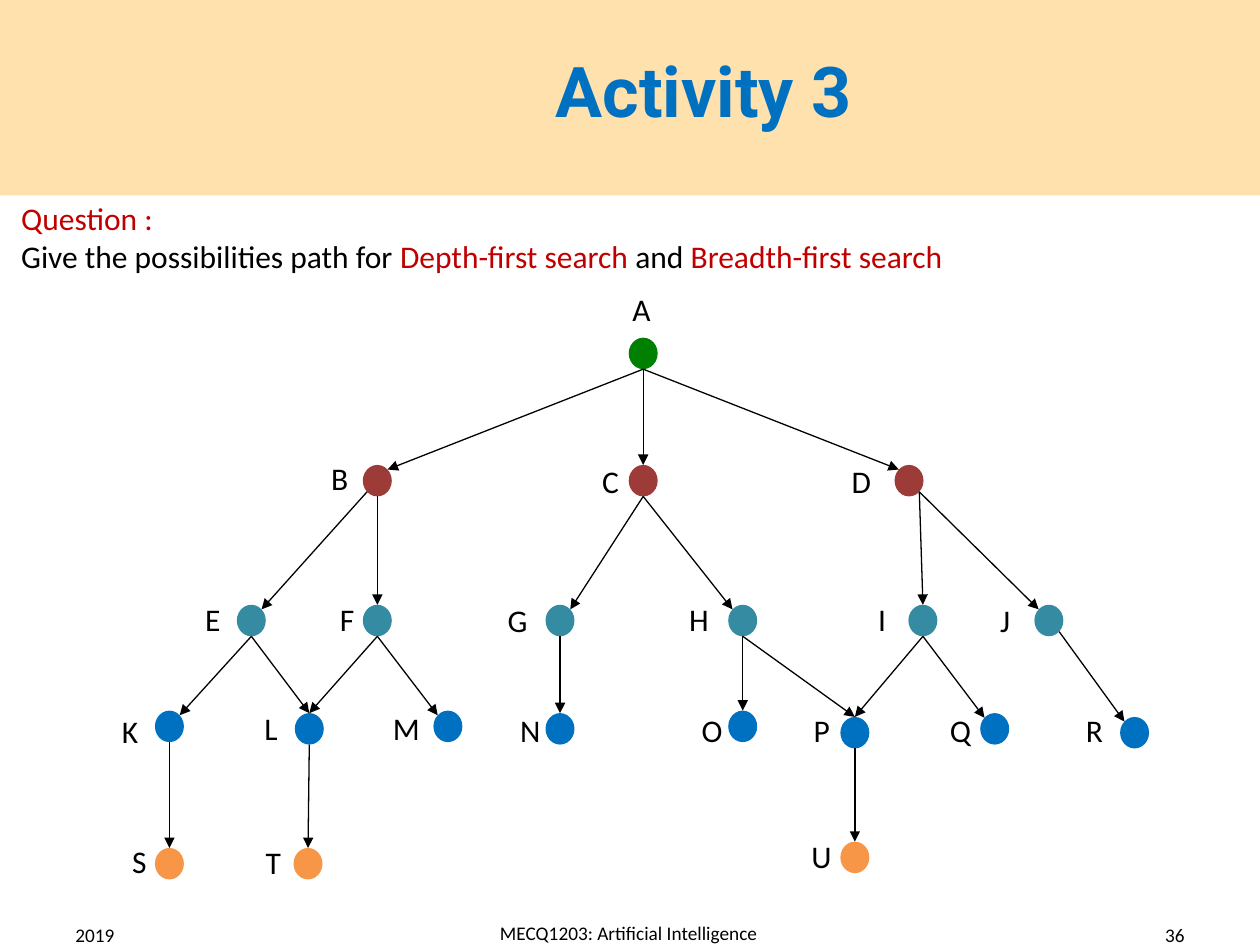
from math import sqrt
from pptx import Presentation
from pptx.dml.color import RGBColor
from pptx.enum.shapes import MSO_CONNECTOR, MSO_SHAPE
from pptx.enum.text import MSO_ANCHOR, MSO_AUTO_SIZE, PP_ALIGN
from pptx.oxml.ns import qn
from pptx.util import Pt
from lxml.etree import SubElement

PX = 9144
BLACK = RGBColor(0, 0, 0)
CREAM = RGBColor(0xFF, 0xE1, 0xAD)
BLUE = RGBColor(0x00, 0x70, 0xC0)
RED = RGBColor(0xC0, 0x00, 0x00)
GREEN = RGBColor(0x00, 0x80, 0x00)
BRICK = RGBColor(0x9D, 0x3B, 0x38)
TEAL = RGBColor(0x35, 0x8B, 0xA2)
AMBER = RGBColor(0xF7, 0x96, 0x46)

TITLE = "Activity 3"
QUESTION = [
    [("Question :", RED)],
    [("Give the possibilities path for ", BLACK), ("Depth-first search ", RED),
     ("and ", BLACK), ("Breadth-first search", RED)],
]
FOOTER = [
    ("2019", (50, 722, 233, 40), PP_ALIGN.LEFT),
    ("MECQ1203: Artificial Intelligence", (270, 724, 458, 33), PP_ALIGN.CENTER),
    ("36", (717, 722, 233, 40), PP_ALIGN.RIGHT),
]
# level colour, then name: dot left, dot top, label left, label top, label width
LEVELS = [
    (GREEN, {"A": (499, 268, 492, 225, 37)}),
    (BRICK, {"B": (288, 369, 253, 359, 37), "C": (499, 369, 468, 362, 37),
             "D": (710, 369, 666, 362, 39)}),
    (TEAL, {"E": (188, 480, 153, 471, 35), "F": (288, 480, 260, 471, 34),
            "G": (433, 480, 393, 472, 39), "H": (578, 480, 537, 471, 39),
            "I": (721, 480, 687, 471, 29), "J": (821, 480, 784, 472, 30)}),
    (BLUE, {"K": (123, 564, 87, 560, 36), "L": (234, 566, 200, 558, 33),
            "M": (344, 564, 302, 558, 45), "N": (433, 566, 403, 559, 39),
            "O": (578, 564, 547, 559, 40), "P": (667, 569, 636, 559, 36),
            "Q": (778, 566, 744, 559, 40), "R": (889, 569, 852, 559, 37)}),
    (AMBER, {"S": (123, 673, 95, 663, 34), "T": (233, 673, 201, 664, 35),
             "U": (667, 668, 634, 659, 39)}),
]
EDGES = "AB AD AC BE BF EK EL KS LT CG CH DI DJ FL FM GN HO HP IP IQ JR PU".split()
SIDES = {"BE": -1, "DI": 1, "DJ": 1, "JR": 1}
WIDE, HIGH = 23, 25
NEAR = 15

deck = Presentation()
deck.slide_width, deck.slide_height = 1000 * PX, 750 * PX
slide = deck.slides.add_slide(deck.slide_layouts[6])
shapes = slide.shapes


def add_block(kind, box, fill):
    shape = shapes.add_shape(kind, *(v * PX for v in box))
    shape.shadow.inherit = False
    shape.fill.solid()
    shape.fill.fore_color.rgb = fill
    shape.line.fill.background()
    return shape


def add_text(box, lines, size, face="Calibri", align=PP_ALIGN.LEFT,
             bold=False, wrap=True, anchor=MSO_ANCHOR.TOP):
    frame = shapes.add_textbox(*(v * PX for v in box)).text_frame
    frame.word_wrap = wrap
    frame.vertical_anchor = anchor
    if anchor == MSO_ANCHOR.TOP:
        frame.auto_size = MSO_AUTO_SIZE.SHAPE_TO_FIT_TEXT
    for i, line in enumerate(lines):
        para = frame.add_paragraph() if i else frame.paragraphs[0]
        para.alignment = align
        for text, color in line:
            run = para.add_run()
            run.text = text
            font = run.font
            font.name, font.size, font.bold = face, Pt(size), bold
            font.color.rgb = color


def find_point(dot, side, down):
    mid = dot.left + dot.width // 2
    half = dot.height / 2
    across = dot.width / 2 / sqrt(2) if side else 0
    rise = half / sqrt(2) if side else half
    return round(mid + side * across), round(dot.top + half + down * rise)


def add_edge(edge):
    start, end = (dots[name] for name in edge)
    gap = start.left - end.left
    shared = sum(other[1] == edge[1] for other in EDGES) > 1
    side = 0 if shared or abs(gap) < NEAR * PX else (1 if gap > 0 else -1)
    line = shapes.add_connector(MSO_CONNECTOR.STRAIGHT,
                                *find_point(start, SIDES.get(edge, 0), 1),
                                *find_point(end, side, -1))
    if not side:
        line.end_connect(end, 0)
    line.line.color.rgb = BLACK
    line.line.width = Pt(0.75)
    SubElement(line.line._get_or_add_ln(), qn("a:tailEnd"), type="triangle")
    SubElement(line._element.spPr, qn("a:effectLst"))


add_block(MSO_SHAPE.RECTANGLE, (0, 0, 1000, 155), CREAM)
for text, box, align in FOOTER:
    add_text(box, [[(text, BLACK)]], 11, align=align, anchor=MSO_ANCHOR.MIDDLE)
add_text((117, 33, 883, 77), [[(TITLE, BLUE)]], 40, "Roboto", PP_ALIGN.CENTER, True)

dots = {}
for color, nodes in LEVELS:
    for name, (x, y, *_) in nodes.items():
        dots[name] = add_block(MSO_SHAPE.FLOWCHART_CONNECTOR, (x, y, WIDE, HIGH), color)
for edge in EDGES:
    add_edge(edge)
for _, nodes in LEVELS:
    for name, (_, _, x, y, width) in nodes.items():
        add_text((x, y, width, 43), [[(name, BLACK)]], 18, wrap=False)
add_text((7, 153, 993, 71), QUESTION, 18)

deck.save("out.pptx")
